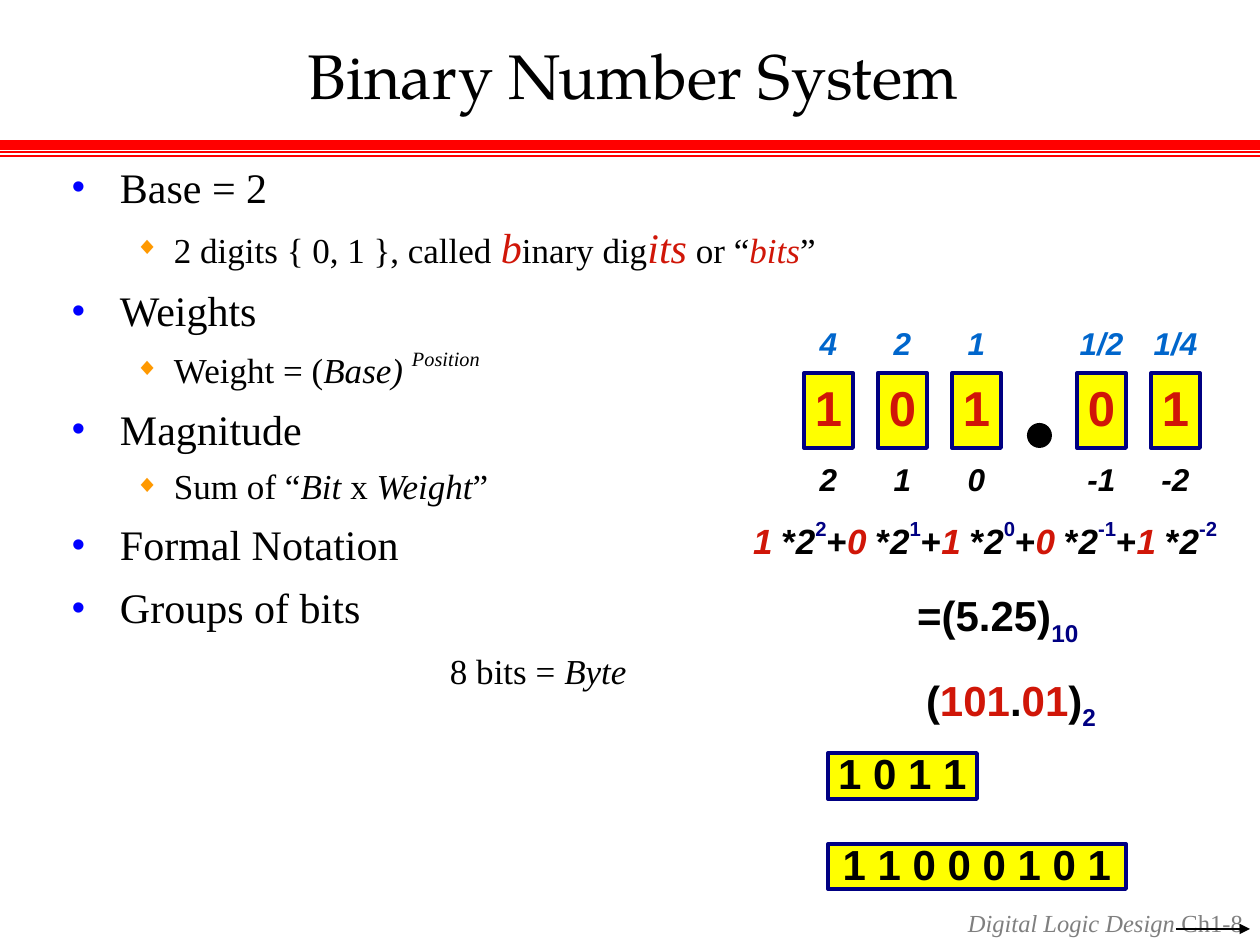
"""Build the Binary Number System slide with its weights, digits and notation."""
from dataclasses import dataclass, field
from typing import NamedTuple

from lxml import etree
from pptx import Presentation
from pptx import util as u
from pptx.dml.color import RGBColor
from pptx.enum import shapes, text
from pptx.oxml import ns

PX = 914400 / 126
COLORS = {
    "black": "000000", "red": "D01608", "navy": "000082", "yellow": "FFFF00",
    "blue": "0066CC", "bullet": "0000FF", "diamond": "FF9900",
    "rule": "FF0000", "gray": "7F7F7F",
}
SERIF, SANS, DISPLAY = "Times New Roman", "Arial", "TeX Gyre Pagella"
CENTER, MIDDLE = text.PP_ALIGN.CENTER, text.MSO_ANCHOR.MIDDLE


class Run(NamedTuple):
    text: str
    fmt: dict = {}


@dataclass
class Bullet:
    char: str
    color: str
    percent: int
    level: int
    margin: int
    hang: int
    size: int
    before: float


@dataclass
class Item:
    bullet: Bullet
    runs: list[Run] = field(default_factory=list)


@dataclass
class Digit:
    x: int
    weight: str
    bit: str
    position: str


TOPIC = Bullet("•", "bullet", 90, 0, 48, 48, 24, 7.2)
DETAIL = Bullet("◆", "diamond", 70, 1, 102, 39, 20, 6)
IT = {"italic": True}
EMPHASIS = {"italic": True, "color": "red"}
LARGE = EMPHASIS | {"size": 24}

ITEMS = [
    Item(TOPIC, [Run("Base = 2")]),
    Item(DETAIL, [
        Run("2 digits { 0, 1 }, called "), Run("b", LARGE), Run("inary dig"),
        Run("its", LARGE), Run(" or “"), Run("bits", EMPHASIS), Run("”")]),
    Item(TOPIC, [Run("Weights")]),
    Item(DETAIL, [Run("Weight = ("), Run("Base) ", IT),
                  Run("Position", IT | {"base": 50})]),
    Item(TOPIC, [Run("Magnitude")]),
    Item(DETAIL, [Run("Sum of “"), Run("Bit", IT), Run(" x "),
                  Run("Weight", IT), Run("”")]),
    Item(TOPIC, [Run("Formal Notation")]),
    Item(TOPIC, [Run("Groups of bits")]),
]
DIGITS = [
    Digit(804, "4", "1", "2"), Digit(878, "2", "0", "1"),
    Digit(952, "1", "1", "0"), Digit(1077, "1/2", "0", "-1"),
    Digit(1151, "1/4", "1", "-2"),
]


def px(n: float) -> int:
    return round(n * PX)


def rgb(name: str) -> RGBColor:
    return RGBColor.from_string(COLORS[name])


def add_run(p, content: str, *, size=20, font=SERIF, color="black",
            bold=False, italic=False, base=0) -> None:
    r = p.add_run()
    r.text = content
    r.font.size, r.font.name = u.Pt(size), font
    r.font.bold, r.font.italic = bold, italic
    r.font.color.rgb = rgb(color)
    if base:
        r.font._element.set("baseline", str(base * 1000))


def add_runs(p, runs: list[Run], **defaults) -> None:
    for run in runs:
        add_run(p, run.text, **(defaults | run.fmt))


def set_frame(tf, inset_x=0, inset_y=0, anchor=text.MSO_ANCHOR.TOP) -> None:
    tf.word_wrap, tf.auto_size = True, text.MSO_AUTO_SIZE.NONE
    tf.margin_left = tf.margin_right = px(inset_x)
    tf.margin_top = tf.margin_bottom = px(inset_y)
    tf.vertical_anchor = anchor


def place(sp, x: int, y: int, w: int, h: int) -> None:
    sp.left, sp.top, sp.width, sp.height = map(px, (x, y, w, h))


def set_indent(p, margin: int, hang: int = 0) -> None:
    pPr = p._p.get_or_add_pPr()
    pPr.set("marL", str(px(margin)))
    pPr.set("indent", str(-px(hang)))


def set_bullet(p, b: Bullet) -> None:
    p.level = b.level
    set_indent(p, b.margin, b.hang)
    pPr = p._p.get_or_add_pPr()
    clr = etree.SubElement(pPr, ns.qn("a:buClr"))
    etree.SubElement(clr, ns.qn("a:srgbClr"), val=COLORS[b.color])
    etree.SubElement(pPr, ns.qn("a:buSzPct"), val=str(b.percent * 1000))
    etree.SubElement(pPr, ns.qn("a:buChar"), char=b.char)


def add_text(s, x: int, y: int, w: int, h: int, runs: list[Run],
             align=text.PP_ALIGN.LEFT, spacing=0.9, **fmt):
    sp = s.shapes.add_textbox(*map(px, (x, y, w, h)))
    set_frame(sp.text_frame)
    p = sp.text_frame.paragraphs[0]
    p.alignment, p.line_spacing = align, spacing
    add_runs(p, runs, **fmt)
    return sp.text_frame


def add_cell(s, x: int, y: int, w: int, h: int, content: str, **fmt) -> None:
    sp = s.shapes.add_shape(shapes.MSO_SHAPE.RECTANGLE, *map(px, (x, y, w, h)))
    sp.shadow.inherit = False
    sp.fill.solid()
    sp.fill.fore_color.rgb = rgb("yellow")
    sp.line.color.rgb, sp.line.width = rgb("navy"), u.Pt(2.25)
    set_frame(sp.text_frame, anchor=MIDDLE)
    p = sp.text_frame.paragraphs[0]
    p.alignment, p.line_spacing = CENTER, 0.9
    add_run(p, content, font=SANS, bold=True, **fmt)


def add_line(s, x1: int, x2: int, y: int, color: str, width: float,
             arrow: bool = False) -> None:
    c = s.shapes.add_connector(shapes.MSO_CONNECTOR.STRAIGHT,
                               *map(px, (x1, y, x2, y)))
    c.line.color.rgb, c.line.width = rgb(color), u.Pt(width)
    if arrow:
        etree.SubElement(c.line._get_or_add_ln(), ns.qn("a:tailEnd"), type="triangle")
    etree.SubElement(c._element.spPr, ns.qn("a:effectLst"))


def fill_body(sp) -> None:
    place(sp, 59, 155, 1142, 742)
    tf = sp.text_frame
    set_frame(tf, 13, 6)
    for i, item in enumerate(ITEMS):
        p = tf.add_paragraph() if i else tf.paragraphs[0]
        set_bullet(p, item.bullet)
        p.space_before = u.Pt(item.bullet.before if i else 0)
        add_runs(p, item.runs, size=item.bullet.size)
    p = tf.add_paragraph()
    set_indent(p, 378)
    etree.SubElement(p._p.get_or_add_pPr(), ns.qn("a:buNone"))
    p.space_before = u.Pt(10)
    add_runs(p, [Run("8 bits = "), Run("Byte", IT)])


def add_number(s) -> None:
    label = {"font": SANS, "size": 18, "bold": True, "italic": True}
    for d in DIGITS:
        add_cell(s, d.x, 373, 49, 75, d.bit, size=28, color="red")
        add_text(s, d.x, 328, 49, 34, [Run(d.weight)], CENTER, color="blue", **label)
        add_text(s, d.x, 464, 49, 34, [Run(d.position)], CENTER, **label)
    dot = s.shapes.add_shape(shapes.MSO_SHAPE.OVAL, *map(px, (1027, 423, 25, 25)))
    dot.shadow.inherit = False
    dot.fill.solid()
    dot.fill.fore_color.rgb = rgb("black")
    dot.line.fill.background()


def add_notation(s) -> None:
    sans = {"font": SANS, "bold": True}
    low = {"color": "navy", "base": -25}
    terms = []
    for i, d in enumerate(DIGITS):
        terms += [Run("+")] if i else []
        terms += [Run(d.bit + " ", EMPHASIS), Run("*"), Run("2", IT),
                  Run(d.position, {"color": "navy", "base": 50})]
    tf = add_text(s, 753, 522, 471, 118, terms, **sans)
    p = tf.add_paragraph()
    set_indent(p, 164)
    p.line_spacing, p.space_before = 0.9, u.Pt(16)
    add_runs(p, [Run("=(5.25)"), Run("10", low)], size=24, **sans)
    red = {"color": "red"}
    add_text(s, 926, 675, 248, 52,
             [Run("("), Run("101", red), Run("."), Run("01", red), Run(")"),
              Run("2", low)], size=24, **sans)


def main() -> None:
    prs = Presentation()
    prs.slide_width, prs.slide_height = px(1260), px(945)
    s = prs.slides.add_slide(prs.slide_layouts[1])
    for y, width in ((145, 6), (152, 1), (156, 1)):
        add_line(s, 0, 1260, y, "rule", width)
    add_text(s, 952, 908, 291, 32,
             [Run("Digital Logic Design ", IT), Run("Ch1"), Run("-", IT), Run("8")],
             text.PP_ALIGN.RIGHT, 1.0, size=14, color="gray")
    title = s.shapes.title
    place(title, 42, 32, 1182, 84)
    set_frame(title.text_frame, anchor=MIDDLE)
    p = title.text_frame.paragraphs[0]
    p.alignment = CENTER
    add_run(p, "Binary Number System", size=36, font=DISPLAY)
    fill_body(s.placeholders[1])
    add_line(s, 1176, 1250, 929, "black", 0.75, arrow=True)
    add_number(s)
    add_notation(s)
    add_cell(s, 828, 753, 149, 46, "1 0 1 1", size=24)
    add_cell(s, 828, 844, 298, 45, "1 1 0 0 0 1 0 1", size=24)
    prs.save("out.pptx")


if __name__ == "__main__":
    main()
